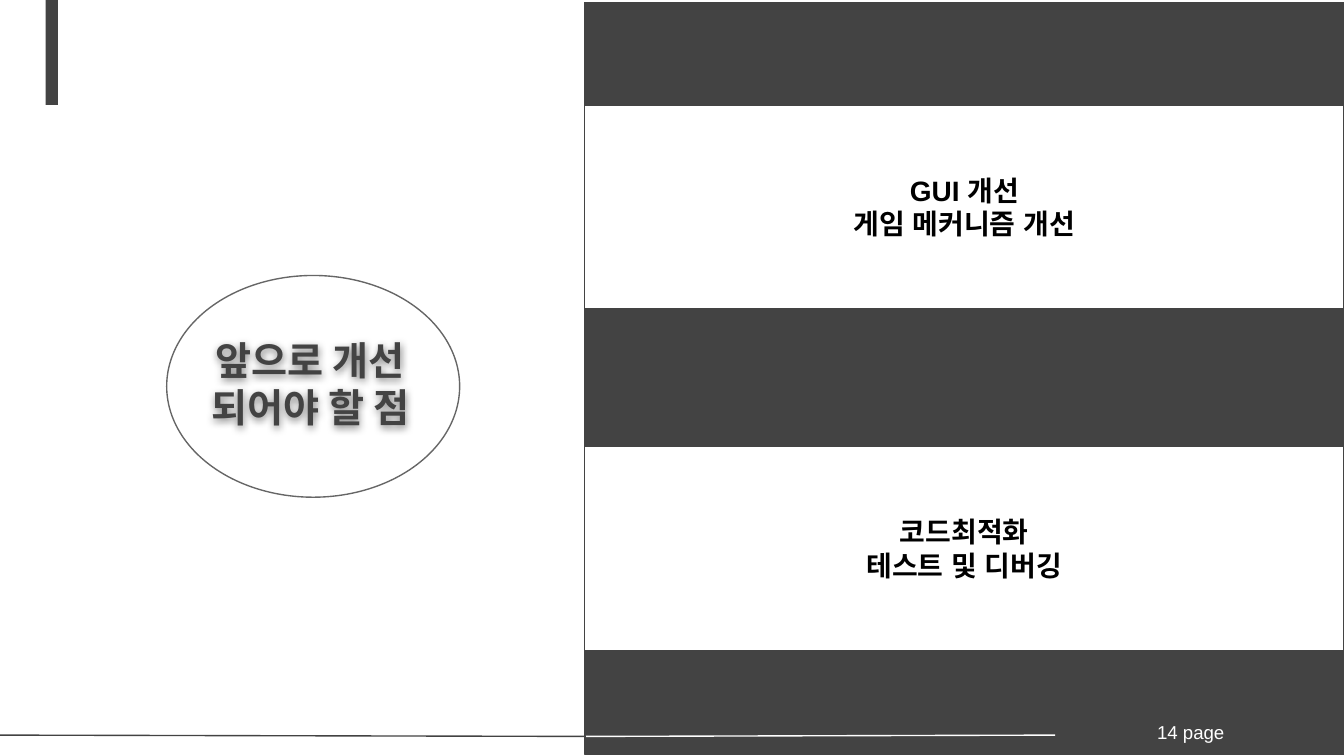
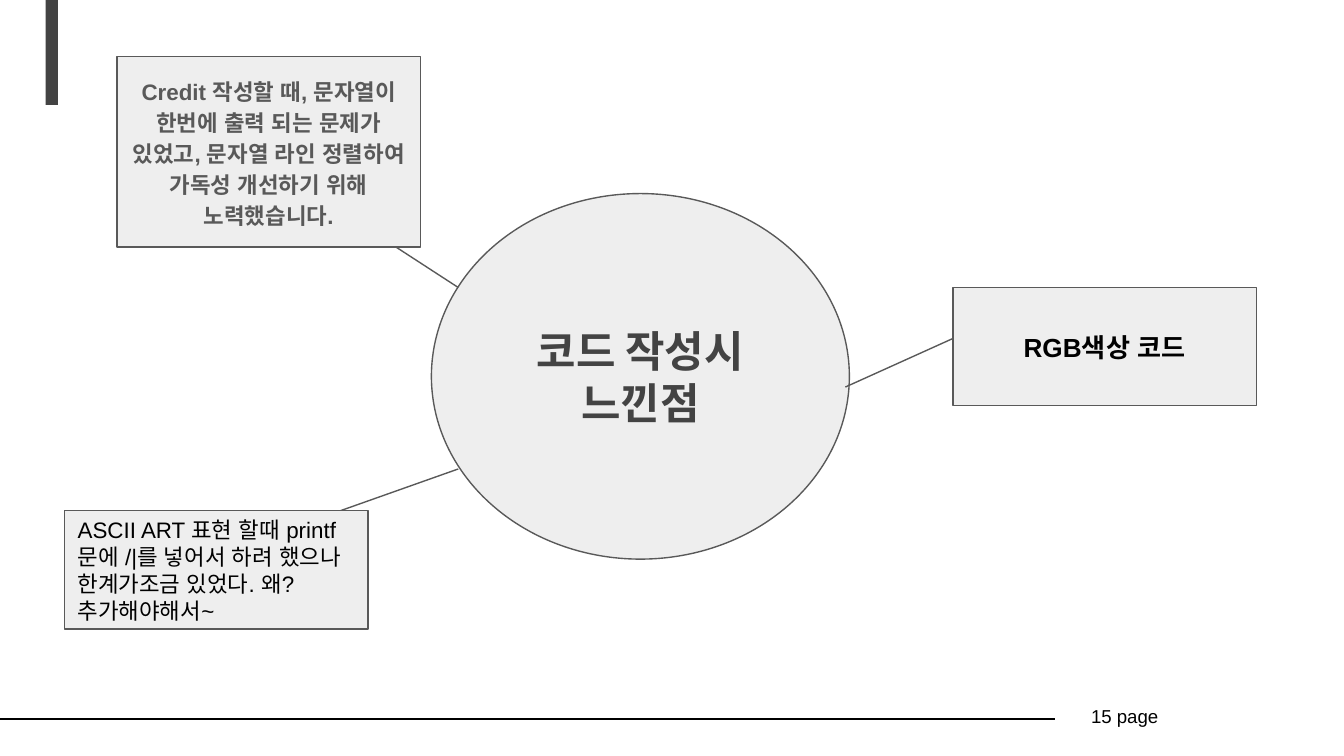
from lxml.etree import SubElement
from pptx import Presentation
from pptx.dml.color import RGBColor
from pptx.enum.shapes import MSO_CONNECTOR, MSO_SHAPE
from pptx.enum.text import MSO_ANCHOR, MSO_AUTO_SIZE, PP_ALIGN
from pptx.oxml.ns import qn
from pptx.util import Inches, Pt

DARK = RGBColor(0x43, 0x43, 0x43)
GRAY = RGBColor(0x59, 0x59, 0x59)
RING = RGBColor(0x66, 0x66, 0x66)
PALE = RGBColor(0xEE, 0xEE, 0xEE)
WHITE = RGBColor(0xFF, 0xFF, 0xFF)
BLACK = RGBColor(0, 0, 0)
SANS, KOREAN = "Arial", "Noto Sans CJK KR"
RECT, OVAL = MSO_SHAPE.RECTANGLE, MSO_SHAPE.OVAL
CENTER, LEFT = PP_ALIGN.CENTER, PP_ALIGN.LEFT

deck = Presentation()
deck.slide_width, deck.slide_height = Inches(10), Inches(5.625)
# All places are in hundredths of the slide's width and height
COL, ROW = deck.slide_width / 100, deck.slide_height / 100


def draw(slide, kind, x, y, w, h, fill=None, line=None):
    shape = slide.shapes.add_shape(kind, int(x * COL), int(y * ROW), int(w * COL), int(h * ROW))
    shape.shadow.inherit = False
    if fill is None:
        shape.fill.background()
    else:
        shape.fill.solid()
        shape.fill.fore_color.rgb = fill
    if line is None:
        shape.line.fill.background()
    else:
        shape.line.color.rgb = line
        shape.line.width = Pt(0.75)
    return shape


def write(shape, lines, size, color, bold=False, align=CENTER, font=SANS):
    frame = shape.text_frame
    frame.word_wrap = True
    frame.auto_size = MSO_AUTO_SIZE.NONE
    frame.vertical_anchor = MSO_ANCHOR.MIDDLE
    frame.margin_left = frame.margin_right = Inches(0.1)
    frame.margin_top = frame.margin_bottom = Inches(0.1)
    for i, line in enumerate(lines):
        para = frame.add_paragraph() if i else frame.paragraphs[0]
        para.alignment = align
        run = para.add_run()
        run.text = line
        run.font.name, run.font.size, run.font.bold = font, Pt(size), bold
        run.font.color.rgb = color
        SubElement(run._r.get_or_add_rPr(), qn("a:ea"), typeface=font)


# Shared: corner bar and title
plan, review = slides = [deck.slides.add_slide(deck.slide_layouts[5]) for _ in range(2)]
for slide in slides:
    draw(slide, RECT, 3.4, 0, 0.9, 13.87, DARK)

# Backdrops: dark panel and central oval
draw(plan, RECT, 43.5, 0.36, 56.5, 99.4, DARK, DARK)
draw(review, OVAL, 32.1, 25.6, 31.1, 48.36, PALE, GRAY)

# Footer rules and spokes
for slide, x1, y1, x2, y2, color in [
    (plan, 43.6, 97.42, 78.5, 97.24, WHITE),
    (plan, 0, 97.24, 43.6, 97.42, DARK),
    (review, 0, 95.11, 78.5, 95.11, BLACK),
    (review, 24.1, 26.49, 34.1, 38.04, GRAY),
    (review, 21.4, 70.04, 34.1, 62.04, GRAY),
    (review, 62.9, 51.2, 76.2, 40.53, GRAY),
]:
    rule = slide.shapes.add_connector(
        MSO_CONNECTOR.STRAIGHT, int(x1 * COL), int(y1 * ROW), int(x2 * COL), int(y2 * ROW))
    rule.line.color.rgb = color
    rule.line.width = Pt(0.75)
    SubElement(rule._element.spPr, qn("a:effectLst"))

# Page numbers
page = draw(plan, RECT, 81.1, 95.11, 15, 3.38, None, DARK)
write(page, ["14 page"], 10, WHITE)
page = draw(review, RECT, 80.2, 92.98, 15, 3.38)
write(page, ["15 page"], 10, BLACK, align=LEFT)

# Plan: ring and two white bands
draw(plan, OVAL, 12.4, 36.44, 21.8, 29.33, None, RING)
for y, lines in [
    (13.87, ["GUI 개선", "게임 메커니즘 개선"]),
    (59.02, ["코드최적화", "테스트 및 디버깅"]),
]:
    band = draw(plan, RECT, 43.5, y, 56.5, 27.02, WHITE, DARK)
    write(band, lines, 15, BLACK, True)

# Review: note boxes around the oval
for x, y, h, text, size, color, bold, align in [
    (8.7, 7.47, 25.24, "Credit 작성할 때, 문자열이 한번에 출력 되는 문제가 있었고, "
     "문자열 라인 정렬하여 가독성 개선하기 위해 노력했습니다.", 12, GRAY, True, CENTER),
    (4.8, 67.56, 15.64, "ASCII ART 표현 할때 printf문에 /|를 넣어서 하려 했으나 "
     "한계가조금 있었다. 왜? 추가해야해서~", 12, BLACK, False, LEFT),
    (70.9, 38.04, 15.64, "RGB색상 코드", 14, BLACK, True, CENTER),
]:
    note = draw(review, RECT, x, y, 22.6, h, PALE, GRAY)
    write(note, [text], size, color, bold, align)
    if color == GRAY:
        para = note.text_frame.paragraphs[0]
        para.line_spacing, para.space_after = 1.15, Pt(12)

# Titles, brought in front of the ovals
for slide, x, y, w, h, text, size in [
    (plan, 12.2, 33.78, 21.8, 33.78, "앞으로 개선 되어야 할 점", 21),
    (review, 36.65, 32.68, 22, 34.2, "코드 작성시 느낀점", 23),
]:
    title = slide.shapes.title
    title.left, title.top = int(x * COL), int(y * ROW)
    title.width, title.height = int(w * COL), int(h * ROW)
    write(title, [text], size, DARK, True, font=KOREAN)
    slide.shapes._spTree.append(title._element)

# Soft shadow under the plan's title
glow = SubElement(plan.shapes.title._element.spPr, qn("a:effectLst"))
cast = SubElement(glow, qn("a:outerShdw"), blurRad="57150", dist="19050", dir="5400000", algn="bl")
tint = SubElement(cast, qn("a:srgbClr"), val="000000")
SubElement(tint, qn("a:alpha"), val="50000")

deck.save("out.pptx")
